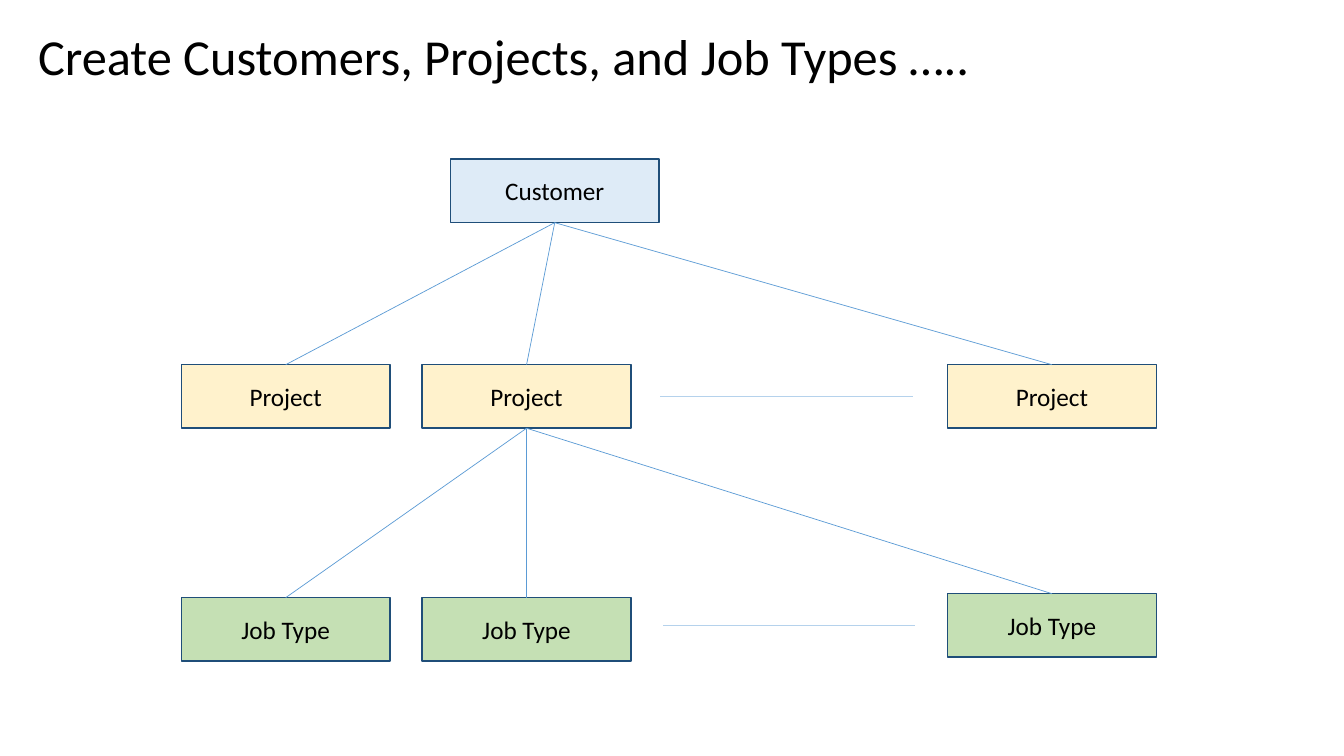
from pptx import Presentation, util as u
from pptx.dml.color import RGBColor
from pptx.enum import shapes, text
from pptx.oxml import xmlchemy
from pptx.oxml.ns import qn
from lxml import etree

BLACK = RGBColor(0x00, 0x00, 0x00)
NAVY = RGBColor(0x1F, 0x4E, 0x79)
BLUE = RGBColor(0x5B, 0x9B, 0xD5)
PALE_BLUE = RGBColor(0xB5, 0xD2, 0xEC)
CUSTOMER_FILL = RGBColor(0xDE, 0xEB, 0xF7)
PROJECT_FILL = RGBColor(0xFF, 0xF2, 0xCC)
JOB_FILL = RGBColor(0xC5, 0xE0, 0xB4)

BOX_WIDTH, BOX_HEIGHT = 5.26, 1.6
TOP_SITE, BOTTOM_SITE = 0, 2

deck = Presentation()
deck.slide_width, deck.slide_height = u.Cm(33.87), u.Cm(19.05)
page = deck.slides.add_slide(deck.slide_layouts[6])


def add_box(label, left, top, fill):
    box = page.shapes.add_shape(
        shapes.MSO_SHAPE.RECTANGLE,
        u.Cm(left), u.Cm(top), u.Cm(BOX_WIDTH), u.Cm(BOX_HEIGHT))
    box.shadow.inherit = False
    box.fill.solid()
    box.fill.fore_color.rgb = fill
    box.line.color.rgb = NAVY
    box.line.width = u.Pt(1)
    box.text_frame.vertical_anchor = text.MSO_ANCHOR.MIDDLE
    para = box.text_frame.paragraphs[0]
    para.text = label
    para.alignment = text.PP_ALIGN.CENTER
    para.font.name, para.font.size = "Calibri", u.Pt(18)
    para.font.color.rgb = BLACK
    return box


def add_line(color, start_x=0, end_x=0, y=0):
    line = page.shapes.add_connector(
        shapes.MSO_CONNECTOR.STRAIGHT,
        u.Cm(start_x), u.Cm(y), u.Cm(end_x), u.Cm(y))
    line.line.color.rgb = color
    line.line.width = u.Pt(0.5)
    etree.SubElement(line._element.spPr, qn("a:effectLst"))
    return line


# Boxes of the three levels
customer = add_box("Customer", 11.35, 4.01, CUSTOMER_FILL)
columns = [4.57, 10.64, 23.88]
projects = [add_box("Project", left, 9.19, PROJECT_FILL) for left in columns]
job_tops = [15.06, 15.06, 14.96]
jobs = [add_box("Job Type", left, top, JOB_FILL)
        for left, top in zip(columns, job_tops)]

# Branches from each parent to its children
for parent, children in [(customer, projects), (projects[1], jobs)]:
    for child in children:
        branch = add_line(BLUE)
        branch.begin_connect(parent, BOTTOM_SITE)
        branch.end_connect(child, TOP_SITE)

# Pale lines standing for further boxes
for start_x, y in [(16.64, 9.98), (16.71, 15.75)]:
    add_line(PALE_BLUE, start_x, start_x + 6.36, y)

# Title
title = page.shapes.add_textbox(u.Cm(0.71), u.Cm(0.51), u.Cm(25.15), u.Cm(1.8))
title.text_frame.word_wrap = False
title.text_frame.auto_size = text.MSO_AUTO_SIZE.SHAPE_TO_FIT_TEXT
para = title.text_frame.paragraphs[0]
para.text = "Create Customers, Projects, and Job Types \u2026.."
para.font.name, para.font.size = "Calibri", u.Pt(36)
para.font.color.rgb = BLACK

deck.save("out.pptx")
